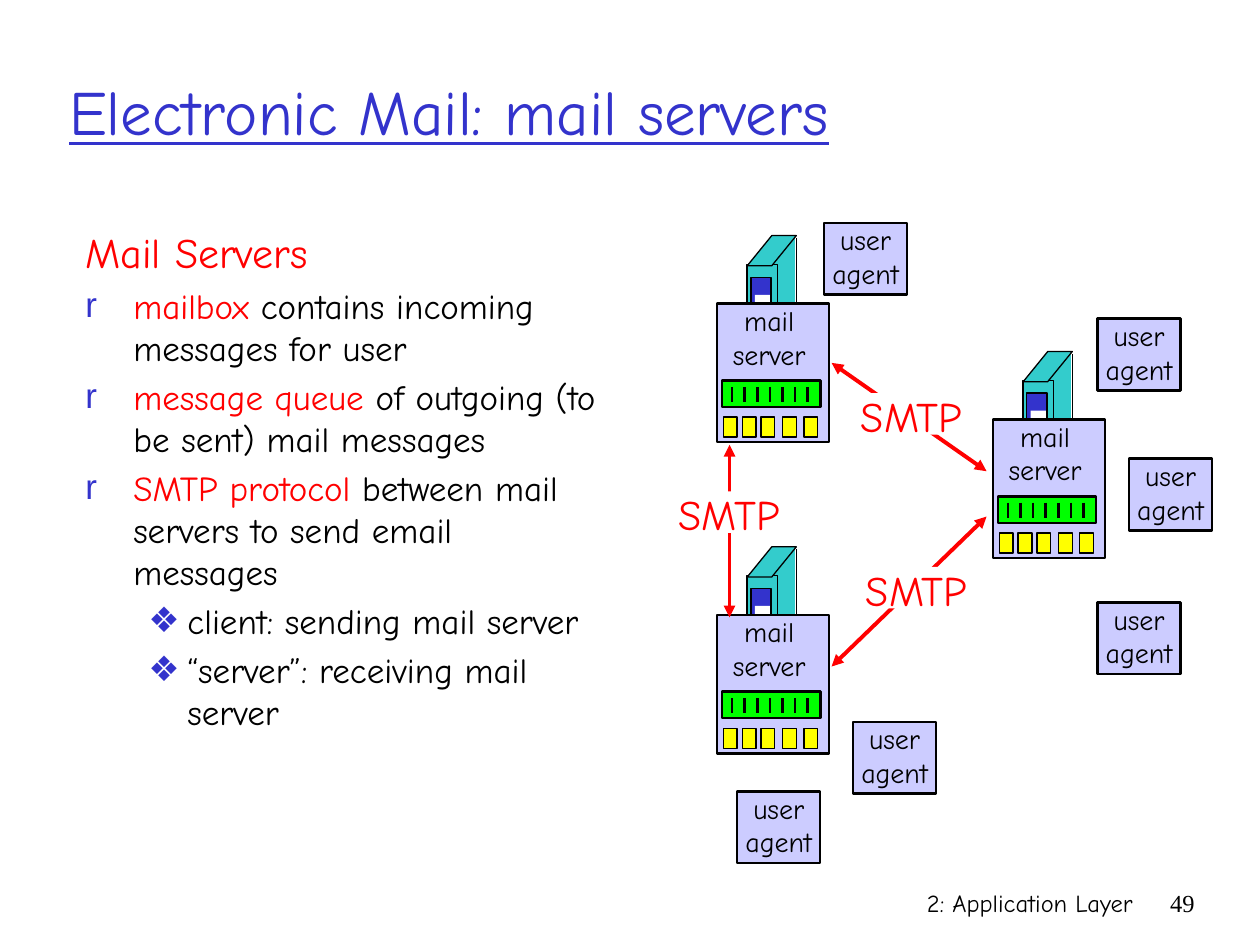
from pptx import Presentation
from pptx.dml.color import RGBColor
from pptx.enum.shapes import MSO_CONNECTOR, MSO_SHAPE as Preset
from pptx.enum.text import MSO_ANCHOR as Anchor, PP_ALIGN as Align
from pptx.oxml.ns import qn
from pptx.util import Inches, Pt
from lxml.etree import SubElement

COLORS = {
    "black": "000000", "white": "FFFFFF", "red": "FF0000", "blue": "3333CC",
    "teal": "33CCCC", "lavender": "CCCCFF", "green": "00FF00", "yellow": "FFFF00",
}
FONT = "Comic Neue"

# Each paragraph: level, then (text, colour) spans
HEADING = ("Mail Servers", "red")
POINTS = [
    (0, [("mailbox", "red"), (" contains incoming messages for user", "black")]),
    (0, [("message queue", "red"),
         (" of outgoing (to be sent) mail messages", "black")]),
    (0, [("SMTP protocol", "red"),
         (" between mail servers to send email messages", "black")]),
    (1, [("client: sending mail server", "black")]),
    (1, [("“server”: receiving mail server", "black")]),
]
# Level: bullet, text margin, hanging indent
BULLETS = {0: ("r", 0.38, -0.38), 1: ("❖", 0.81, -0.31)}

SERVERS = [(5.69, 2.41), (7.88, 3.33), (5.69, 4.88)]
AGENTS = [(6.54, 1.77), (8.71, 2.53), (8.96, 3.64), (8.71, 4.78),
          (6.77, 5.73), (5.85, 6.28)]
LINKS = [(6.6, 2.88, 7.83, 3.74), (6.6, 5.29, 7.83, 4.1), (5.79, 4.9, 5.79, 3.53)]
LINK_LABELS = [(6.76, 3.12), (6.8, 4.5), (5.31, 3.9)]


def rgb(name):
    return RGBColor.from_string(COLORS[name])


def add_block(page, left, top, width, height, fill, line=None, preset=Preset.RECTANGLE):
    """Add a filled preset shape; line is the outline width in points."""
    block = page.shapes.add_shape(
        preset, Inches(left), Inches(top), Inches(width), Inches(height))
    block.shadow.inherit = False
    block.fill.solid()
    block.fill.fore_color.rgb = rgb(fill)
    if line:
        block.line.color.rgb = rgb("black")
        block.line.width = Pt(line)
    else:
        block.line.fill.background()
    return block


def add_line(page, x1, y1, x2, y2, width, color="black", arrows=False):
    line = page.shapes.add_connector(
        MSO_CONNECTOR.STRAIGHT, Inches(x1), Inches(y1), Inches(x2), Inches(y2))
    line.line.color.rgb = rgb(color)
    line.line.width = Pt(width)
    properties = line._element.spPr
    if arrows:
        outline = properties.find(qn("a:ln"))
        for end in ("a:headEnd", "a:tailEnd"):
            SubElement(outline, qn(end), type="triangle")
    SubElement(properties, qn("a:effectLst"))


def add_span(para, text, size, color="black", name=FONT, **extra):
    span = para.add_run()
    span.text = text
    span.font.color.rgb = rgb(color)
    for key, value in {"name": name, "size": Pt(size), **extra}.items():
        setattr(span.font, key, value)


def add_text(page, left, top, width, height, lines=(), align=Align.LEFT,
             anchor=Anchor.TOP, **style):
    """Add a text box with one paragraph per line and return its frame."""
    box = page.shapes.add_textbox(
        Inches(left), Inches(top), Inches(width), Inches(height))
    frame = box.text_frame
    frame.word_wrap = True
    frame.vertical_anchor = anchor
    for index, text in enumerate(lines):
        para = frame.add_paragraph() if index else frame.paragraphs[0]
        para.alignment = align
        add_span(para, text, **style)
    return frame


def set_indent(para, level, bullet=True):
    char, margin, indent = BULLETS[level]
    para.level = level
    properties = para._p.get_or_add_pPr()
    properties.set("marL", str(Inches(margin)))
    properties.set("indent", str(Inches(indent)))
    if bullet:
        color = SubElement(properties, qn("a:buClr"))
        SubElement(color, qn("a:srgbClr"), val=COLORS["blue"])
        SubElement(properties, qn("a:buFont"), typeface="Arial")
        SubElement(properties, qn("a:buChar"), char=char)
    else:
        SubElement(properties, qn("a:buNone"))


def add_body(page, left, top, width, height):
    frame = add_text(page, left, top, width, height)
    heading = frame.paragraphs[0]
    set_indent(heading, 0, bullet=False)
    text, color = HEADING
    add_span(heading, text, 24, color)
    for level, spans in POINTS:
        para = frame.add_paragraph()
        set_indent(para, level)
        para.space_before = Pt(4)
        for text, color in spans:
            add_span(para, text, 20, color)


def add_tower(page, left, top):
    """Draw the computer that stands behind a mail server."""
    add_block(page, left + 0.2, top, 0.18, 0.78, "teal")
    add_block(page, left, top + 0.23, 0.24, 0.78, "teal", 0.75)
    roof = add_block(page, left, top, 0.39, 0.24, "teal", 0.75, Preset.PARALLELOGRAM)
    roof.adjustments[0] = 0.814
    add_line(page, left + 0.39, top + 0.02, left + 0.39, top + 0.78, 0.75)
    add_block(page, left + 0.03, top + 0.33, 0.16, 0.45, "blue", 0.75)
    add_block(page, left + 0.06, top + 0.47, 0.12, 0.16, "white")


def add_server(page, left, top):
    add_tower(page, left + 0.24, top - 0.54)
    add_block(page, left, top, 0.89, 1.1, "lavender", 1.5)
    add_text(page, left - 0.02, top - 0.05, 0.87, 0.63, ["mail", "server"],
             Align.CENTER, size=16)
    # Message queue, then the user mailboxes
    add_block(page, left + 0.04, top + 0.61, 0.78, 0.21, "green", 1.5)
    for index in range(7):
        x = left + 0.12 + 0.1 * index
        add_line(page, x, top + 0.66, x, top + 0.78, 1.5)
    for offset in (0.05, 0.2, 0.35, 0.52, 0.69):
        add_block(page, left + offset, top + 0.9, 0.11, 0.16, "yellow", 0.75)


def add_agent(page, left, top):
    add_block(page, left, top, 0.66, 0.57, "lavender", 1.5)
    add_text(page, left - 0.06, top - 0.05, 0.78, 0.64, ["user", "agent"],
             Align.CENTER, size=16)


def add_link_label(page, left, top):
    add_block(page, left, top, 0.94, 0.33, "white")
    add_text(page, left - 0.09, top - 0.07, 1.13, 0.5, ["SMTP"],
             Align.CENTER, size=24, color="red")


def add_network(page):
    for place in SERVERS:
        add_server(page, *place)
    for place in AGENTS:
        add_agent(page, *place)
    for ends in LINKS:
        add_line(page, *ends, 2.25, "red", arrows=True)
    for place in LINK_LABELS:
        add_link_label(page, *place)


def add_footer(page, top):
    add_text(page, 5.92, top, 3.17, 0.5, ["2: Application Layer"], Align.RIGHT, size=14)
    add_text(page, 9.08, top, 0.5, 0.5, ["49"], Align.RIGHT, size=14,
             name="Times New Roman")


def main():
    deck = Presentation()
    deck.slide_width, deck.slide_height = Inches(10), Inches(7.5)
    page = deck.slides.add_slide(deck.slide_layouts[6])
    add_footer(page, 7)
    add_text(page, 0.45, 0.25, 8.5, 1.25, ["Electronic Mail: mail servers"],
             anchor=Anchor.MIDDLE, size=36, color="blue", underline=True)
    add_body(page, 0.58, 1.75, 4.3, 5.08)
    add_network(page)
    deck.save("out.pptx")


if __name__ == "__main__":
    main()
